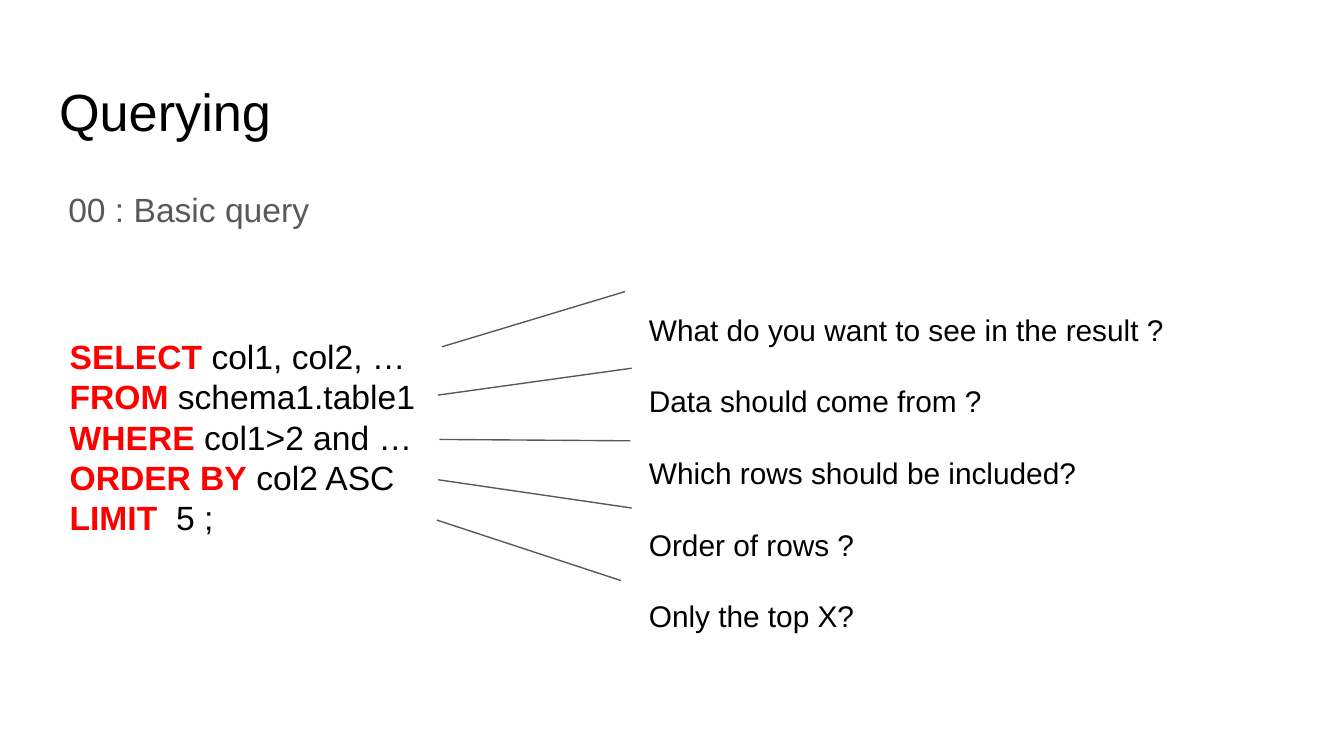
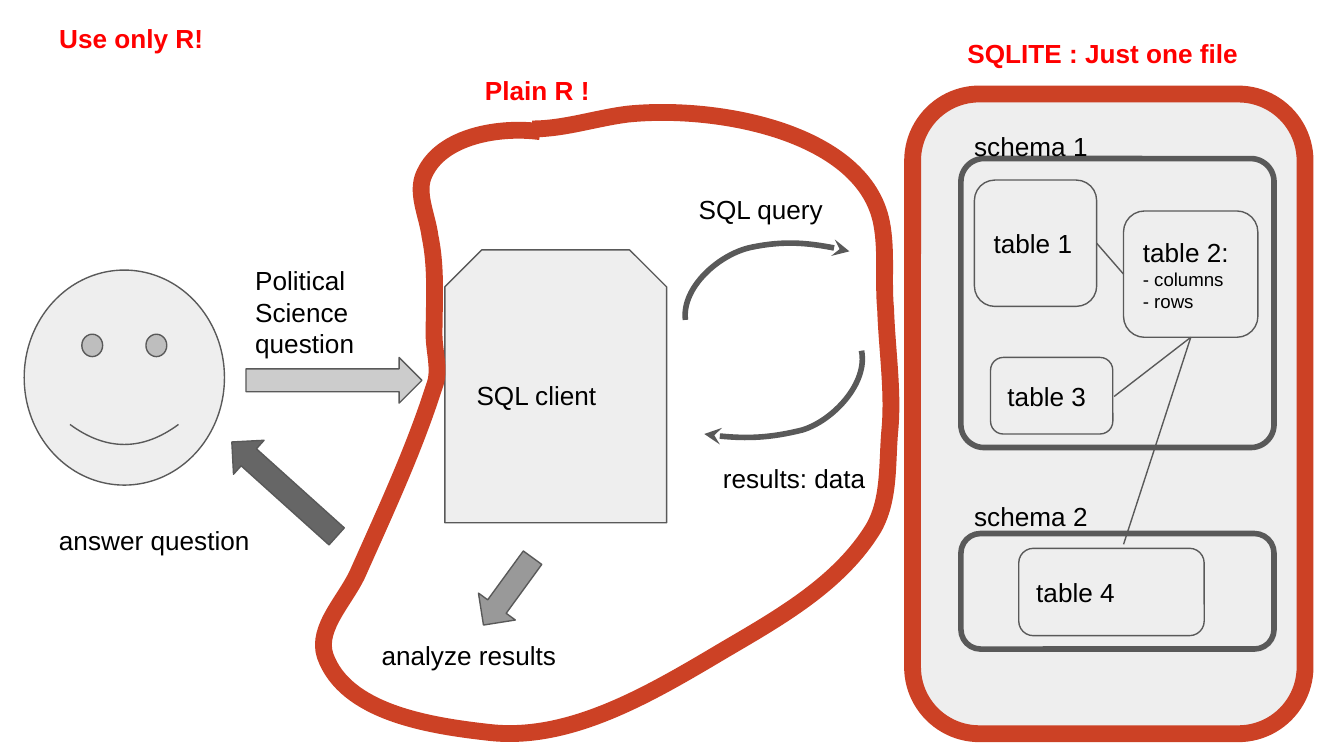
from lxml.etree import SubElement
from pptx import Presentation
from pptx.dml.color import RGBColor
from pptx.enum.shapes import MSO_CONNECTOR, MSO_SHAPE
from pptx.enum.text import MSO_ANCHOR, MSO_AUTO_SIZE, PP_ALIGN
from pptx.oxml.ns import qn
from pptx.util import Inches, Pt

# Shared look
FONT = "Arial"
BLACK, RED, GREY, PALE, RUST = "000000", "FF0000", "595959", "EEEEEE", "CC4125"
THIN, MEDIUM, THICK = 0.75, 3, 9
LABEL_SIZE = 14

# Slide 1: query clauses, what each one answers, and the links between them
QUERY = [
    ("SELECT", " col1, col2, …"),
    ("FROM", " schema1.table1"),
    ("WHERE", " col1>2 and …"),
    ("ORDER BY", " col2 ASC"),
    ("LIMIT", "  5 ;"),
]
QUESTIONS = [
    "What do you want to see in the result ?",
    "Data should come from ?",
    "Which rows should be included?",
    "Order of rows ?",
    "Only the top X?",
]
CLAUSE_LINKS = [
    ((3.29, 2.58), (4.65, 2.17)),
    ((3.26, 2.94), (4.7, 2.74)),
    ((3.27, 3.27), (4.69, 3.28)),
    ((3.26, 3.57), (4.7, 3.78)),
    ((3.25, 3.87), (4.62, 4.32)),
]

# Slide 2: database boxes as (box, line colour, line width, corner)
DATABASE = [
    ((6.79, 0.7, 2.92, 4.76), RUST, THICK, 0.17),
    ((7.15, 1.18, 2.33, 2.15), GREY, MEDIUM, 0.08),
    ((7.15, 3.97, 2.33, 0.86), GREY, MEDIUM, 0.17),
]
TABLES = [
    ((7.25, 1.34, 0.91, 0.94), "table 1", []),
    ((8.36, 1.57, 1, 0.94), "table 2:", ["- columns", "- rows"]),
    ((7.37, 2.66, 0.91, 0.57), "table 3", []),
    ((7.58, 4.08, 1.38, 0.65), "table 4", []),
]
TABLE_LINKS = [
    ((8.16, 1.81), (8.36, 2.04)),
    ((8.29, 2.95), (8.86, 2.51)),
    ((8.86, 2.51), (8.36, 4.05)),
]
FACE = (0.18, 2.01, 1.49, 1.6)
CLIENT = (3.31, 1.86, 1.65, 2.03)
# (box, rotation, fill)
ARROWS = [
    ((1.83, 2.66, 1.31, 0.34), 0, "CCCCCC"),
    ((3.47, 4.23, 0.62, 0.34), 126.1, "999999"),
    ((1.59, 3.47, 1.05, 0.34), 222, "666666"),
]
LABELS = [
    ((7.15, 0.87, 2.43, 0.44), "schema 1"),
    ((7.15, 3.62, 2.43, 0.44), "schema 2"),
    ((5.1, 1.34, 1.38, 0.53), "SQL query"),
    ((5.28, 3.34, 1.38, 0.53), "results: data"),
    ((1.8, 1.87, 1.38, 0.53), "Political Science question"),
    ((2.74, 4.66, 1.71, 0.53), "analyze results"),
    ((0.34, 3.8, 1.75, 0.53), "answer question"),
]
HIGHLIGHTS = [
    ((7.1, 0.18, 2.43, 0.44), "SQLITE : Just one file"),
    ((3.51, 0.45, 2.53, 0.77), "Plain R !"),
]
# Curves: a start point, then two handles and an end point per segment
QUERY_CURVE = [
    (5.1, 2.38),
    (5.07, 2.14), (5.35, 1.89), (5.59, 1.84),
    (5.83, 1.79), (6.08, 1.81), (6.32, 1.87),
]
RESULT_CURVE = [
    (6.41, 2.61),
    (6.46, 2.85), (6.2, 3.13), (5.97, 3.2),
    (5.73, 3.26), (5.48, 3.27), (5.24, 3.23),
]
R_OUTLINE = [
    (4.02, 0.98),
    (3.72, 0.94), (3.29, 1.01), (3.16, 1.29),
    (3.09, 1.43), (3.18, 1.6), (3.2, 1.76),
    (3.25, 2), (3.23, 2.25), (3.23, 2.49),
    (3.23, 2.62), (3.28, 2.76), (3.23, 2.88),
    (3.08, 3.35), (2.87, 3.8), (2.67, 4.25),
    (2.58, 4.46), (2.35, 4.67), (2.42, 4.88),
    (2.57, 5.3), (3.19, 5.4), (3.64, 5.45),
    (4.25, 5.52), (4.86, 5.15), (5.4, 4.83),
    (5.81, 4.59), (6.25, 4.34), (6.5, 3.93),
    (6.62, 3.72), (6.6, 3.46), (6.62, 3.22),
    (6.65, 2.92), (6.6, 2.61), (6.59, 2.3),
    (6.57, 2.09), (6.6, 1.87), (6.56, 1.66),
    (6.43, 0.99), (5.35, 0.78), (4.67, 0.85),
    (4.43, 0.88), (4.2, 0.96), (3.96, 0.96),
]


def rgb(value):
    return RGBColor.from_string(value)


def inches(values):
    return [Inches(value) for value in values]


def style_font(font, size, color=BLACK, bold=False):
    font.name, font.size, font.bold = FONT, Pt(size), bold
    font.color.rgb = rgb(color)


def style_frame(frame, anchor=MSO_ANCHOR.TOP):
    frame.word_wrap = True
    frame.auto_size = MSO_AUTO_SIZE.NONE
    frame.vertical_anchor = anchor
    frame.margin_left = frame.margin_right = Inches(0.1)
    frame.margin_top = frame.margin_bottom = Inches(0.1)


def style_line(line, color=GREY, width=THIN):
    line.color.rgb = rgb(color)
    line.width = Pt(width)


def add_slide(prs, title, box, size, color=BLACK, bold=False):
    slide = prs.slides.add_slide(prs.slide_layouts[5])
    heading = slide.shapes.title
    heading.left, heading.top, heading.width, heading.height = inches(box)
    style_frame(heading.text_frame)
    heading.text_frame.text = title
    paragraph = heading.text_frame.paragraphs[0]
    paragraph.alignment = PP_ALIGN.LEFT
    style_font(paragraph.font, size, color, bold)
    return slide


def add_text(slide, box, lines, size=LABEL_SIZE, color=BLACK, bold=False, spacing=None):
    frame = slide.shapes.add_textbox(*inches(box)).text_frame
    style_frame(frame)
    frame.text = "\n".join(lines)
    for paragraph in frame.paragraphs:
        paragraph.line_spacing = spacing
        style_font(paragraph.font, size, color, bold)
    return frame


def add_box(slide, kind, box, fill=PALE, color=GREY, width=THIN):
    shape = slide.shapes.add_shape(kind, *inches(box))
    shape.shadow.inherit = False
    shape.fill.solid()
    shape.fill.fore_color.rgb = rgb(fill)
    style_line(shape.line, color, width)
    return shape


def write_in(shape, text, details=()):
    style_frame(shape.text_frame, MSO_ANCHOR.MIDDLE)
    paragraph = shape.text_frame.paragraphs[0]
    paragraph.alignment = PP_ALIGN.LEFT
    style_font(paragraph.font, LABEL_SIZE)
    paragraph.add_run().text = text
    for detail in details:
        paragraph.add_line_break()
        run = paragraph.add_run()
        run.text = detail
        run.font.size = Pt(10)


def add_links(slide, links):
    for start, end in links:
        link = slide.shapes.add_connector(
            MSO_CONNECTOR.STRAIGHT, *inches(start), *inches(end))
        style_line(link.line)
        SubElement(link._element.spPr, qn("a:effectLst"))


def add_curve(slide, points, color=GREY, width=MEDIUM, arrow=False):
    start, *rest = [inches(point) for point in points]
    builder = slide.shapes.build_freeform(*start)
    builder.add_line_segments(rest, close=False)
    curve = builder.convert_to_shape()
    # Turn every three straight segments into one Bézier segment
    outline = next(curve._element.iter(qn("a:path")))
    steps = outline.findall(qn("a:lnTo"))
    for first in range(0, len(steps), 3):
        bezier = SubElement(outline, qn("a:cubicBezTo"))
        for step in steps[first:first + 3]:
            bezier.append(step[0])
            outline.remove(step)
    curve.fill.background()
    style_line(curve.line, color, width)
    if arrow:
        SubElement(curve._element.spPr.find(qn("a:ln")), qn("a:tailEnd"), type="stealth")
    curve.shadow.inherit = False


def build_querying(prs):
    slide = add_slide(prs, "Querying", (0.34, 0.49, 9.32, 0.63), 28)
    add_text(slide, (0.41, 1.26, 9.25, 3.74), ["00 : Basic query"], 18, GREY, spacing=1.15)

    # Query with red keywords
    query = add_text(slide, (0.42, 2.4, 3.12, 2.17), [""] * len(QUERY), 18)
    for paragraph, (keyword, rest) in zip(query.paragraphs, QUERY):
        run = paragraph.add_run()
        run.text = keyword
        style_font(run.font, 18, RED, True)
        paragraph.add_run().text = rest

    add_text(slide, (4.73, 1.95, 4.85, 3.06), QUESTIONS, 16, spacing=2)
    add_links(slide, CLAUSE_LINKS)


def build_workflow(prs):
    slide = add_slide(prs, "Use only R!", (0.34, 0.07, 9.32, 0.63), LABEL_SIZE, RED, True)

    # Database with its schemas and tables
    for box, color, width, corner in DATABASE:
        area = add_box(slide, MSO_SHAPE.ROUNDED_RECTANGLE, box, PALE, color, width)
        area.adjustments[0] = corner
    for box, name, details in TABLES:
        write_in(add_box(slide, MSO_SHAPE.ROUNDED_RECTANGLE, box), name, details)

    # User, client and the flow between them
    add_box(slide, MSO_SHAPE.SMILEY_FACE, FACE)
    write_in(add_box(slide, MSO_SHAPE.SNIP_2_SAME_RECTANGLE, CLIENT), "SQL client")
    add_links(slide, TABLE_LINKS)
    for points in (QUERY_CURVE, RESULT_CURVE):
        add_curve(slide, points, arrow=True)
    for box, rotation, fill in ARROWS:
        add_box(slide, MSO_SHAPE.RIGHT_ARROW, box, fill).rotation = rotation

    # Labels, and the outline around what R covers
    for box, text in LABELS:
        add_text(slide, box, [text])
    add_curve(slide, R_OUTLINE, RUST, THICK)
    for box, text in HIGHLIGHTS:
        add_text(slide, box, [text], color=RED, bold=True)


def main():
    prs = Presentation()
    prs.slide_width = Inches(10)
    prs.slide_height = prs.slide_width * 9 // 16
    build_querying(prs)
    build_workflow(prs)
    prs.save("out.pptx")


if __name__ == "__main__":
    main()
